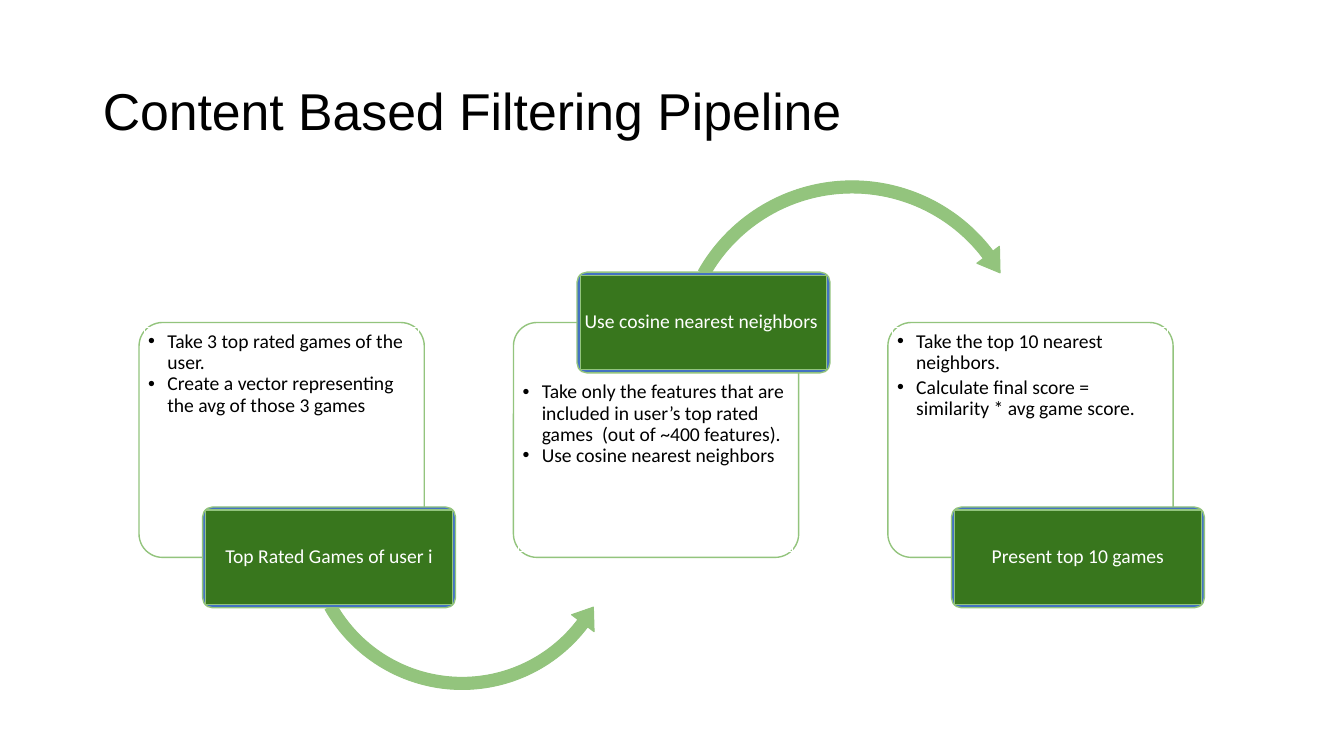
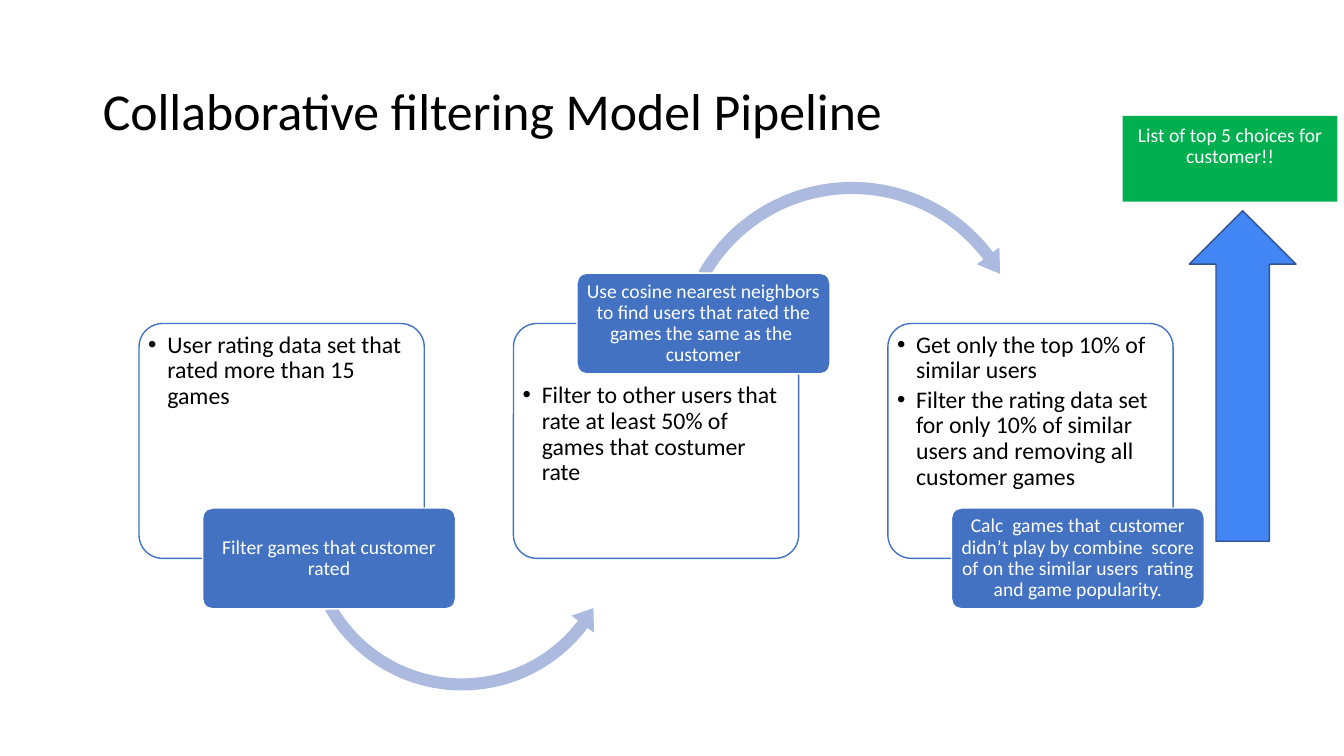
"""Builds two slides that show the pipelines of a game recommender."""
from dataclasses import dataclass
from math import cos, radians, sin, tan

from lxml.etree import SubElement
from pptx import Presentation
from pptx.dml.color import RGBColor
from pptx.enum.shapes import MSO_SHAPE
from pptx.enum.text import MSO_ANCHOR, MSO_AUTO_SIZE, PP_ALIGN
from pptx.oxml.ns import qn
from pptx.util import Emu, Pt

EMU_PER_PX = 4572
COMPARISON_LAYOUT = 4


@dataclass(frozen=True)
class Theme:
    """Colours and type sizes of the deck."""
    ink: str = "000000"
    paper: str = "FFFFFF"
    blue: str = "4372C3"
    pale_blue: str = "ABBADE"
    light_green: str = "93C47D"
    dark_green: str = "38761D"
    result_blue: str = "4285F4"
    result_edge: str = "31538F"
    result_green: str = "00B050"
    font: str = "Calibri"
    title_size: int = 37
    label_size: int = 14
    edge: float = 1
    thin_edge: float = 0.75


THEME = Theme()


@dataclass(frozen=True)
class Box:
    """A rectangle in px."""
    x: int
    y: int
    width: int
    height: int

    def inset(self, margin: int) -> "Box":
        """Returns the box that lies a margin inside this one."""
        return Box(self.x + margin, self.y + margin,
                   self.width - 2 * margin, self.height - 2 * margin)


@dataclass(frozen=True)
class Step:
    """One step of a pipeline."""
    label: str
    bullets: tuple[str, ...]
    gap: float = 0


@dataclass(frozen=True)
class Arc:
    """A curved arrow around a centre, below (1) or above (-1) it."""
    x: int
    y: int
    radius: int
    side: int


@dataclass(frozen=True)
class Pipeline:
    """The content and look of one slide."""
    title: str
    title_font: str
    top: int
    list_size: int
    card_edge: str
    label_edge: str
    arc_fill: str
    arc_edge: str | None
    plate: str | None
    list_edge: str | None
    steps: tuple[Step, ...]


TITLE_BOX = Box(184, 80, 2300, 290)
RESULT_ARROW = Box(2360, 418, 212, 656)
RESULT_BOX = Box(2228, 230, 426, 170)
FIRST_CARD_X, CARD_PITCH = 276, 743
ARCS = (Arc(917, 416, 300, 1), Arc(1691, 69, 338, -1))
ARC_START, ARC_END, ARC_TIP = 150.5, 37, 29.7
HALF_BAND, HALF_HEAD = 12, 28

CONTENT_BASED = Pipeline(
    "Content Based Filtering Pipeline", "Arial", 640, 14,
    THEME.light_green, THEME.light_green, THEME.light_green,
    THEME.light_green, THEME.dark_green, THEME.paper,
    (
        Step("Top Rated Games of user i",
             ("Take 3 top rated games of the user.",
              "Create a vector representing the avg of those 3 games")),
        Step("Use cosine nearest neighbors ",
             ("Take only the features that are included in user’s top rated "
              "games  (out of ~400 features).",
              "Use cosine nearest neighbors")),
        Step("Present top 10 games",
             ("Take the top 10 nearest neighbors.",
              "Calculate final score = similarity * avg game score."), 2.5),
    ))

COLLABORATIVE = Pipeline(
    "Collaborative filtering Model Pipeline", THEME.font, 642, 17,
    THEME.blue, THEME.paper, THEME.pale_blue, None, None, None,
    (
        Step("Filter games that customer rated",
             ("User rating data set that rated more than 15 games",)),
        Step("Use cosine nearest neighbors to find users that rated the games "
             "the same as the  customer",
             ("Filter to other users that rate at least 50% of games that "
              "costumer  rate",)),
        Step("Calc  games that  customer didn’t play by combine  score of on "
             "the similar users  rating and game popularity.",
             ("Get only the top 10% of similar users",
              "Filter the rating data set  for only 10% of similar users and "
              "removing all customer games"), 2.5),
    ))


def px(length: float) -> Emu:
    """Turns px into EMU."""
    return Emu(round(length * EMU_PER_PX))


def place(shape, box: Box) -> None:
    """Moves a shape to a box."""
    shape.left, shape.top = px(box.x), px(box.y)
    shape.width, shape.height = px(box.width), px(box.height)


def outline(shape, edge: str, weight: float) -> None:
    """Draws the outline of a shape."""
    shape.line.color.rgb = RGBColor.from_string(edge)
    shape.line.width = Pt(weight)


def paint(shape, fill: str, edge: str | None, weight: float) -> None:
    """Gives a shape its fill and outline, without a shadow."""
    shape.shadow.inherit = False
    shape.fill.solid()
    shape.fill.fore_color.rgb = RGBColor.from_string(fill)
    if edge is None:
        shape.line.fill.background()
    else:
        outline(shape, edge, weight)


def add_block(slide, kind: MSO_SHAPE, box: Box, fill: str,
              edge: str | None = None, weight: float = THEME.edge):
    """Adds a painted preset shape."""
    block = slide.shapes.add_shape(kind, 0, 0, 0, 0)
    place(block, box)
    paint(block, fill, edge, weight)
    return block


def set_frame(shape, anchor: MSO_ANCHOR, side: int, top: int) -> None:
    """Sets the margins and the anchor of a text frame."""
    frame = shape.text_frame
    frame.auto_size = MSO_AUTO_SIZE.NONE
    frame.word_wrap = True
    frame.vertical_anchor = anchor
    frame.margin_left = frame.margin_right = px(side)
    frame.margin_top = frame.margin_bottom = px(top)


def write(paragraph, text: str, font: str, size: int, color: str,
          align: PP_ALIGN, gap: float = 0) -> None:
    """Writes one formatted run into a paragraph."""
    paragraph.alignment = align
    paragraph.line_spacing = 0.9
    paragraph.space_before = Pt(gap)
    run = paragraph.add_run()
    run.text = text
    run.font.name = font
    run.font.size = Pt(size)
    run.font.bold = False
    run.font.color.rgb = RGBColor.from_string(color)


def write_label(shape, text: str) -> None:
    """Writes a centred label on a shape."""
    write(shape.text_frame.paragraphs[0], text, THEME.font,
          THEME.label_size, THEME.paper, PP_ALIGN.CENTER)


def write_list(body, step: Step, size: int) -> None:
    """Fills a body placeholder with the bullets of a step."""
    set_frame(body, MSO_ANCHOR.TOP, 8, 8)
    frame = body.text_frame
    for position, text in enumerate(step.bullets):
        paragraph = frame.add_paragraph() if position else frame.paragraphs[0]
        properties = paragraph._p.get_or_add_pPr()
        properties.set("marL", str(px(38)))
        properties.set("indent", str(px(-38)))
        SubElement(properties, qn("a:buChar")).set("char", "•")
        write(paragraph, text, THEME.font, size, THEME.ink, PP_ALIGN.LEFT,
              step.gap if position else 0)


def add_arc(slide, arc: Arc, pipeline: Pipeline) -> None:
    """Adds a curved arrow that runs below or above the cards."""
    reach = arc.radius + HALF_HEAD
    left, top = arc.x - reach, pipeline.top + arc.y - reach
    right, bottom = left + 2 * reach, top + 2 * reach
    builder = slide.shapes.build_freeform(px(left), px(top), scale=1.0)
    builder.add_line_segments([(px(right), px(top)), (px(right), px(bottom)),
                               (px(left), px(bottom))])
    arrow = builder.convert_to_shape()
    contour = next(arrow._element.iter(qn("a:path")))
    for segment in list(contour):
        contour.remove(segment)

    def at(offset: float, angle: float, pull: float = 0) -> tuple[float, float]:
        """Returns a point near the circle, pulled along its tangent."""
        turn, length = radians(angle), arc.radius + offset
        return (reach + length * (cos(turn) - pull * sin(turn)),
                reach + arc.side * length * (sin(turn) + pull * cos(turn)))

    def draw(command: str, *points: tuple[float, float]) -> None:
        """Adds one command to the contour."""
        segment = SubElement(contour, qn(f"a:{command}"))
        for x, y in points:
            point = SubElement(segment, qn("a:pt"))
            point.set("x", str(px(x)))
            point.set("y", str(px(y)))

    def bend(offset: float, start: float, end: float) -> None:
        """Draws an arc as two equal curves."""
        half = (end - start) / 2
        pull = 4 / 3 * tan(radians(half) / 4)
        for angle in (start, start + half):
            draw("cubicBezTo", at(offset, angle, pull),
                 at(offset, angle + half, -pull), at(offset, angle + half))

    draw("moveTo", at(HALF_BAND, ARC_START))
    draw("lnTo", at(-HALF_BAND, ARC_START))
    bend(-HALF_BAND, ARC_START, ARC_END)
    for offset, angle in ((-HALF_HEAD, ARC_END), (0, ARC_TIP),
                          (HALF_HEAD, ARC_END), (HALF_BAND, ARC_END)):
        draw("lnTo", at(offset, angle))
    bend(HALF_BAND, ARC_END, ARC_START)
    draw("close")
    paint(arrow, pipeline.arc_fill, pipeline.arc_edge, THEME.thin_edge)


def add_label(slide, box: Box, text: str, pipeline: Pipeline) -> None:
    """Adds the label of a step, with a plate on top where there is one."""
    label = add_block(slide, MSO_SHAPE.ROUNDED_RECTANGLE, box, THEME.blue,
                      pipeline.label_edge)
    label.adjustments[0] = 0.1
    side = 12
    if pipeline.plate:
        label = add_block(slide, MSO_SHAPE.RECTANGLE, box.inset(6),
                          pipeline.plate, pipeline.label_edge, THEME.thin_edge)
        side = 6
    set_frame(label, MSO_ANCHOR.MIDDLE, side, 4)
    write_label(label, text)


def add_step(slide, body, position: int, pipeline: Pipeline) -> None:
    """Draws one step: card, list, outgoing arrow and label."""
    step = pipeline.steps[position]
    x, top = FIRST_CARD_X + position * CARD_PITCH, pipeline.top
    raised = position % 2 == 1
    card = add_block(slide, MSO_SHAPE.ROUNDED_RECTANGLE,
                     Box(x, top, 566, 466), THEME.paper, pipeline.card_edge)
    card.adjustments[0] = 0.1
    place(body, Box(x + 10, top + (110 if raised else 10), 544, 344))
    if pipeline.list_edge:
        outline(body, pipeline.list_edge, THEME.thin_edge)
    write_list(body, step, pipeline.list_size)
    slide.shapes._spTree.append(body._element)
    if position < len(ARCS):
        add_arc(slide, ARCS[position], pipeline)
    label_top = top + (-100 if raised else 366)
    add_label(slide, Box(x + 126, label_top, 502, 200), step.label, pipeline)


def add_pipeline(deck, pipeline: Pipeline):
    """Adds a slide with a title and the steps of a pipeline."""
    slide = deck.slides.add_slide(deck.slide_layouts[COMPARISON_LAYOUT])
    title, *bodies = slide.placeholders
    place(title, TITLE_BOX)
    set_frame(title, MSO_ANCHOR.MIDDLE, 20, 10)
    write(title.text_frame.paragraphs[0], pipeline.title, pipeline.title_font,
          THEME.title_size, THEME.ink, PP_ALIGN.LEFT)
    for position in range(len(pipeline.steps)):
        add_step(slide, bodies[position], position, pipeline)
    for spare in bodies[len(pipeline.steps):]:
        slide.shapes._spTree.remove(spare._element)
    return slide


def main() -> None:
    """Builds and saves the deck."""
    deck = Presentation()
    deck.slide_width, deck.slide_height = px(2667), px(1500)
    add_pipeline(deck, CONTENT_BASED)
    slide = add_pipeline(deck, COLLABORATIVE)
    add_block(slide, MSO_SHAPE.UP_ARROW, RESULT_ARROW, THEME.result_blue,
              THEME.result_edge)
    choices = add_block(slide, MSO_SHAPE.RECTANGLE, RESULT_BOX,
                        THEME.result_green)
    set_frame(choices, MSO_ANCHOR.TOP, 6, 19)
    write_label(choices, "List of top 5 choices for customer!!")
    deck.save("out.pptx")


if __name__ == "__main__":
    main()
